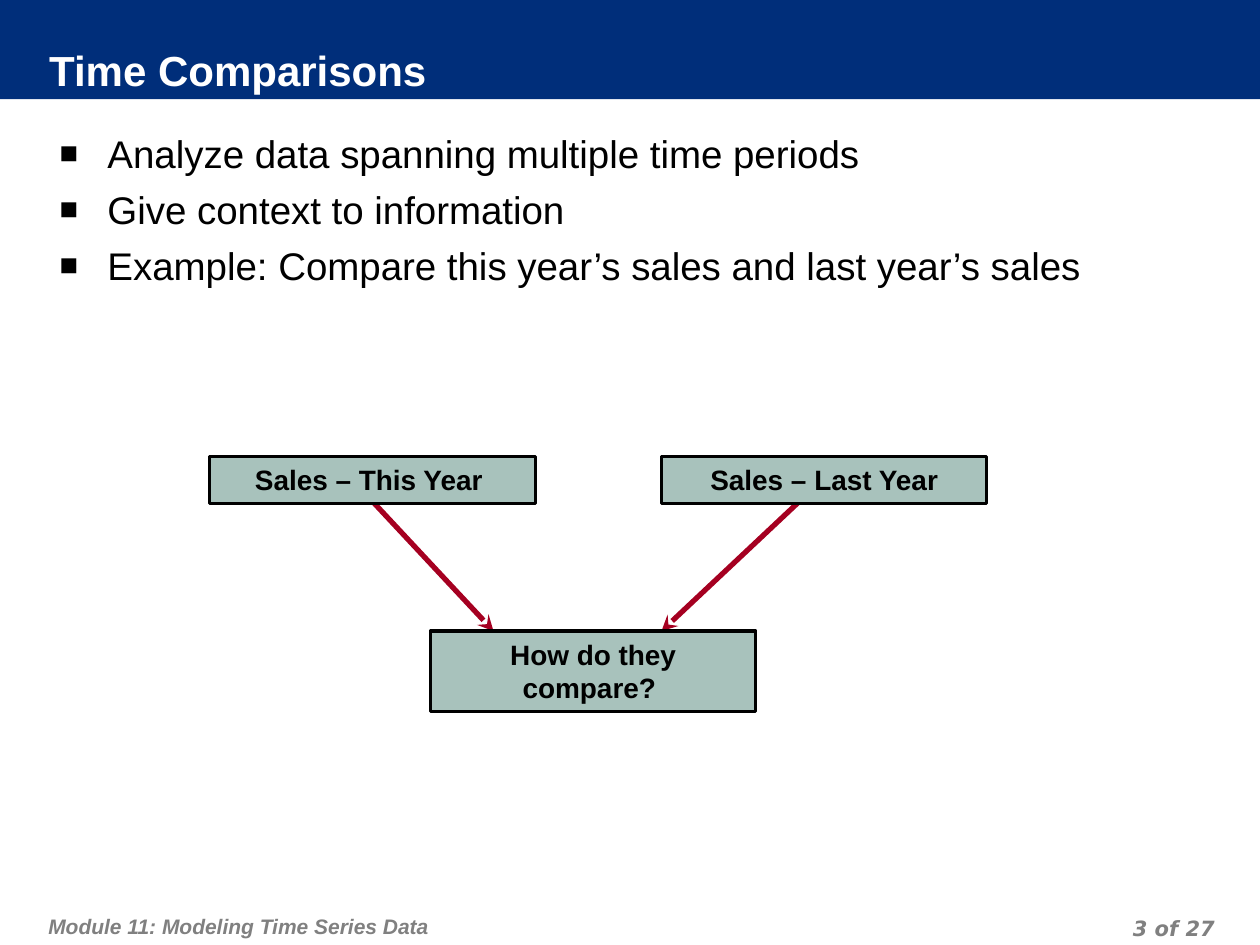
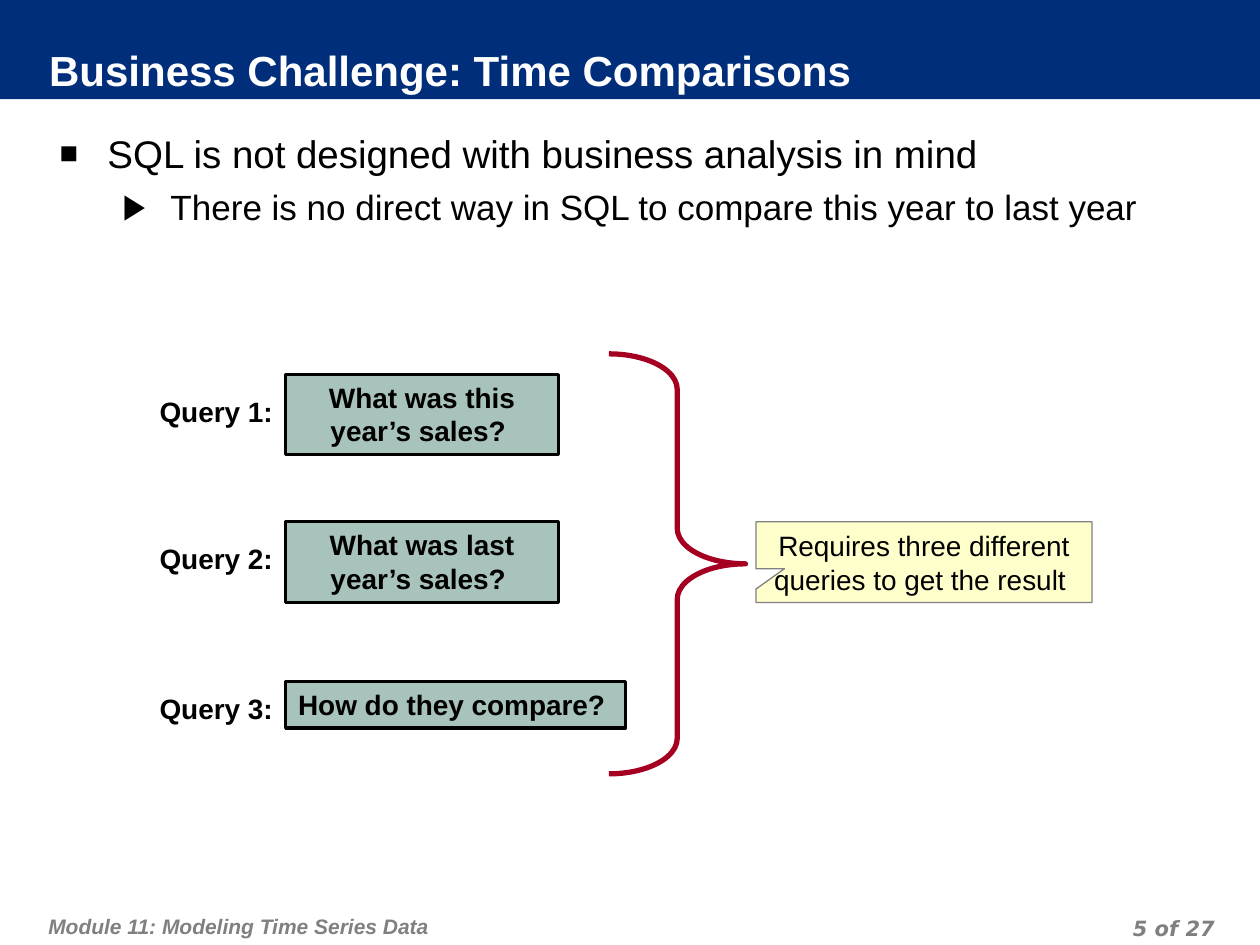
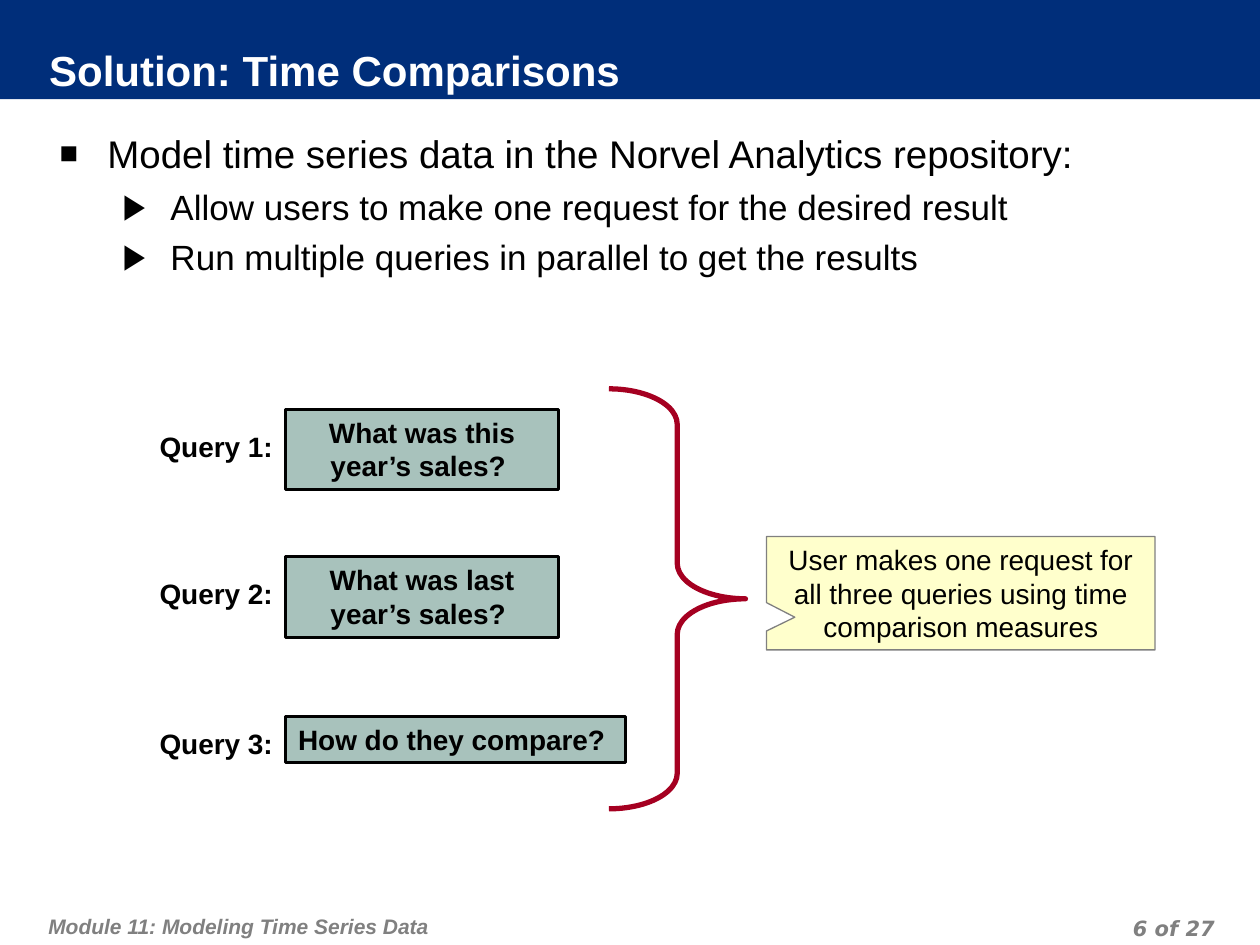
from lxml import etree
from pptx import Presentation
from pptx import util as u
from pptx.dml import color
from pptx.enum import shapes, text
from pptx.oxml import ns

COLORS = {
    "navy": "002E7A",
    "white": "FFFFFF",
    "black": "000000",
    "gray": "808080",
    "sage": "A8C2BC",
    "red": "A50021",
    "cream": "FFFFCC",
}
BULLETS = [("■", 80, 0.38, 22, 5.5), ("▶", 100, 0.88, 20, 5)]
FOOTER = "Module 11: Modeling Time Series Data"
PAGE_COUNT = 27
LEFT, CENTER, RIGHT = text.PP_ALIGN.LEFT, text.PP_ALIGN.CENTER, text.PP_ALIGN.RIGHT
TOP, MIDDLE = text.MSO_ANCHOR.TOP, text.MSO_ANCHOR.MIDDLE
SHAPE = shapes.MSO_SHAPE

presentation = Presentation()
presentation.slide_width = u.Inches(10)
presentation.slide_height = u.Inches(7.5)
COLUMN = presentation.slide_width / 120
ROW = presentation.slide_height / 90
ONE_LINE, TWO_LINES = 4.44, 7.68


def add_box(slide, kind, column, row, columns, rows, fill=None, line=None, width=1.75):
    area = [int(column * COLUMN), int(row * ROW), int(columns * COLUMN), int(rows * ROW)]
    if kind is None:
        return slide.shapes.add_textbox(*area)
    shape = slide.shapes.add_shape(kind, *area)
    shape.shadow.inherit = False
    if fill:
        shape.fill.solid()
        shape.fill.fore_color.rgb = color.RGBColor.from_string(COLORS[fill])
    else:
        shape.fill.background()
    if line:
        shape.line.color.rgb = color.RGBColor.from_string(COLORS[line])
        shape.line.width = u.Pt(width)
    else:
        shape.line.fill.background()
    return shape


def write(shape, content, size=16, ink="black", font="Arial", bold=False, italic=False,
          align=CENTER, anchor=TOP, insets=(0.1, 0.05, 0.1, 0.05), wrap=True, spacing=None):
    frame = shape.text_frame
    frame.auto_size = text.MSO_AUTO_SIZE.NONE
    frame.word_wrap = wrap
    frame.vertical_anchor = anchor
    frame.margin_left, frame.margin_top, frame.margin_right, frame.margin_bottom = map(u.Inches, insets)
    items = [(None, content)] if isinstance(content, str) else content
    for index, (level, words) in enumerate(items):
        paragraph = frame.add_paragraph() if index else frame.paragraphs[0]
        paragraph.alignment = align
        paragraph.line_spacing = spacing
        run_size = size
        if level is not None:
            character, percent, margin, run_size, before = BULLETS[level]
            paragraph.level = level
            properties = paragraph._p.get_or_add_pPr()
            properties.set("marL", str(u.Inches(margin)))
            properties.set("indent", str(u.Inches(-0.38)))
            bullet_color = etree.SubElement(properties, ns.qn("a:buClr"))
            etree.SubElement(bullet_color, ns.qn("a:srgbClr"), val=COLORS[ink])
            etree.SubElement(properties, ns.qn("a:buSzPct"), val=str(percent * 1000))
            etree.SubElement(properties, ns.qn("a:buFont"), typeface=font)
            etree.SubElement(properties, ns.qn("a:buChar"), char=character)
            if index:
                paragraph.space_before = u.Pt(before)
        run = paragraph.add_run()
        run.text = words
        run.font.name = font
        run.font.size = u.Pt(run_size)
        run.font.bold = bold
        run.font.italic = italic
        run.font.color.rgb = color.RGBColor.from_string(COLORS[ink])


pages = [
    (3, "Time Comparisons", [
        (0, "Analyze data spanning multiple time periods"),
        (0, "Give context to information"),
        (0, "Example: Compare this year’s sales and last year’s sales"),
    ]),
    (5, "Business Challenge: Time Comparisons", [
        (0, "SQL is not designed with business analysis in mind"),
        (1, "There is no direct way in SQL to compare this year to last year"),
    ]),
    (6, "Solution: Time Comparisons", [
        (0, "Model time series data in the Norvel Analytics repository:"),
        (1, "Allow users to make one request for the desired result"),
        (1, "Run multiple queries in parallel to get the results"),
    ]),
]
slides = []
for number, heading, bullets in pages:
    slide = presentation.slides.add_slide(presentation.slide_layouts[5])
    slides.append(slide)
    title = slide.shapes.title
    band = add_box(slide, SHAPE.RECTANGLE, 0, 0, 120, 9.45, fill="navy")
    title.element.addprevious(band.element)
    title.left, title.top = u.Inches(0.39), u.Inches(0.38)
    title.width, title.height = u.Inches(7.87), u.Inches(0.4)
    title.fill.solid()
    title.fill.fore_color.rgb = color.RGBColor.from_string(COLORS["navy"])
    write(title, heading, size=24, ink="white", bold=True, align=LEFT, anchor=MIDDLE,
          insets=(0, 0, 0.05, 0.05))
    body = add_box(slide, None, 4.5, 11.2, 111.6, 74.1)
    write(body, bullets, align=LEFT, insets=(0.1, 0.1, 0.1, 0.05))
    footer = add_box(slide, None, 4, 85.2, 74.2, 4.8)
    write(footer, FOOTER, size=12, ink="gray", bold=True, italic=True, align=LEFT,
          insets=(0.05, 0.1, 0.05, 0.05), spacing=u.Pt(18))
    page_number = add_box(slide, None, 88.3, 86.6, 28, 3)
    write(page_number, f"{number} of {PAGE_COUNT}", size=12, ink="gray", font="DejaVu Sans",
          bold=True, italic=True, align=RIGHT, insets=(0.05, 0, 0.05, 0), spacing=u.Pt(18))

comparison, challenge, solution = slides

for start_column, start_row, end_column in [(78, 46, 63), (33, 45.1, 47)]:
    arrow = comparison.shapes.add_connector(
        shapes.MSO_CONNECTOR.STRAIGHT, int(start_column * COLUMN), int(start_row * ROW),
        int(end_column * COLUMN), int(60.1 * ROW))
    arrow.line.color.rgb = color.RGBColor.from_string(COLORS["red"])
    arrow.line.width = u.Pt(3)
    etree.SubElement(arrow.line._get_or_add_ln(), ns.qn("a:tailEnd"), type="stealth")
    etree.SubElement(arrow.element.spPr, ns.qn("a:effectLst"))

for words, column, row, rows in [
    ("Sales – This Year ", 20, 43.5, ONE_LINE),
    ("Sales – Last Year", 63, 43.5, ONE_LINE),
    ("How do they compare? ", 41, 60.1, TWO_LINES),
]:
    box = add_box(comparison, SHAPE.RECTANGLE, column, row, 31, rows, "sage", "black")
    write(box, words, bold=True)

queries = [
    ("What was this year’s sales? ", 1.93, 26, TWO_LINES, 1.33, True),
    ("What was last year’s sales? ", 15.97, 26, TWO_LINES, 1.33, True),
    ("How do they compare? ", 31.2, 32.4, ONE_LINE, 0.4, False),
]
callouts = [
    (challenge, 33.7, "Requires three different queries to get the result ",
     (72, 49.7, 32, TWO_LINES), (-0.415, 0.081)),
    (solution, 37.03, "User makes one request for all three queries using time comparison measures",
     (73, 51.1, 37, 10.8), (-0.427, 0.212)),
]
for slide, top, remark, area, pointer in callouts:
    for index, (question, offset, columns, rows, label_drop, wrap) in enumerate(queries, 1):
        box = add_box(slide, SHAPE.RECTANGLE, 27.2, top + offset, columns, rows, "sage", "black")
        write(box, question, bold=True, wrap=wrap)
        label = add_box(slide, None, 14, top + offset + label_drop, 13.2, ONE_LINE)
        write(label, f"Query {index}:", bold=True, wrap=False)
    callout = add_box(slide, SHAPE.RECTANGULAR_CALLOUT, *area, "cream", "gray", 0.75)
    callout.adjustments[0], callout.adjustments[1] = pointer
    write(callout, remark, anchor=MIDDLE)
    brace = add_box(slide, SHAPE.RIGHT_BRACE, 58, top, 13, 40, line="red", width=3)
    brace.adjustments[0] = 0.26

presentation.save("out.pptx")
